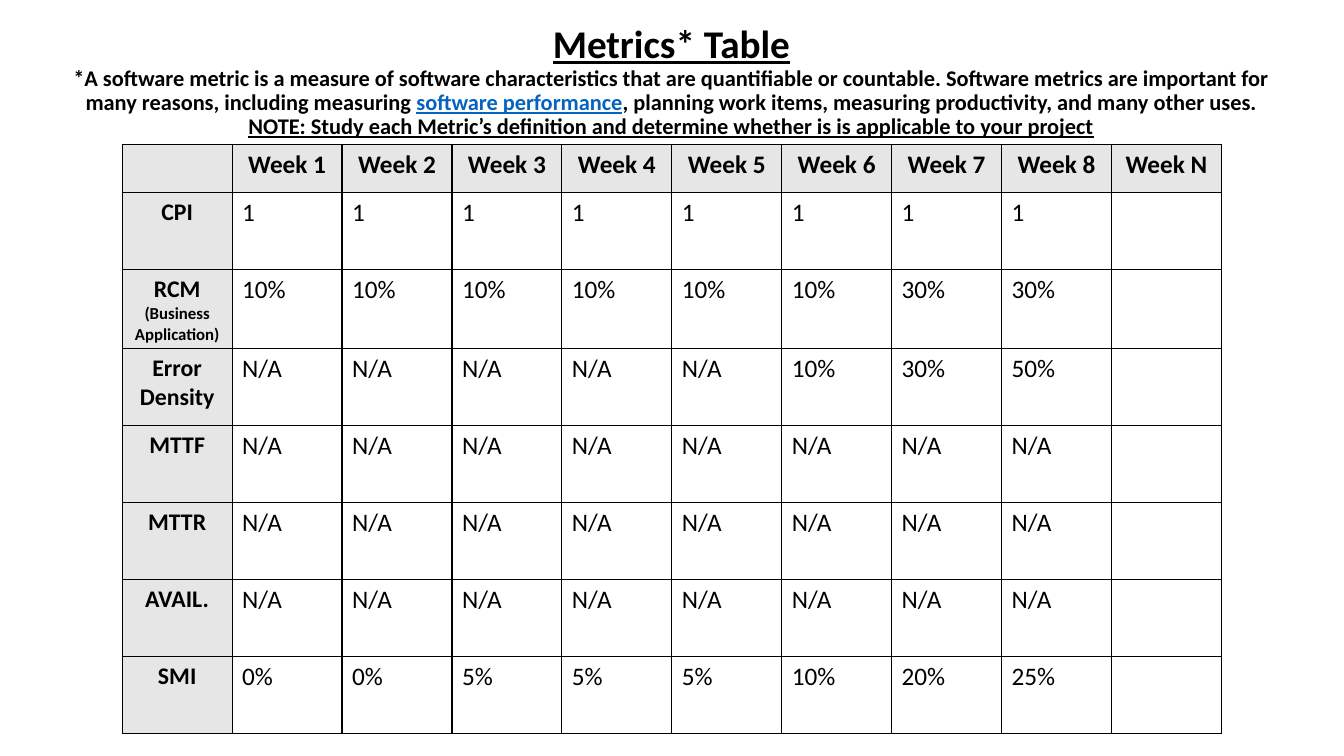
"""Build the software metrics table slide."""
from lxml.etree import SubElement
from pptx import Presentation
from pptx.dml.color import RGBColor
from pptx.enum.text import MSO_ANCHOR, PP_ALIGN
from pptx.oxml.ns import qn
from pptx.util import Cm, Pt


def style(r, size, color="000000", bold=True, underline=False):
    r.font.name = "Calibri"
    r.font.size = Pt(size)
    r.font.bold = bold
    r.font.underline = underline
    r.font.color.rgb = RGBColor.from_string(color)


def add_borders(cell, color="000000"):
    tcPr = cell._tc.get_or_add_tcPr()
    for side in ("a:lnL", "a:lnR", "a:lnT", "a:lnB"):
        ln = SubElement(tcPr, qn(side), w=str(Pt(1)))
        SubElement(SubElement(ln, qn("a:solidFill")), qn("a:srgbClr"), val=color)


TITLE_LINES = [
    [("Metrics* Table", 28, "000000", True)],
    [("*A software metric is a measure of software characteristics that are "
      "quantifiable or countable. Software metrics are important for many "
      "reasons, including measuring ", 16, "000000", False),
     ("software performance", 16, "0563C1", True),
     (", planning work items, measuring productivity, and many other uses.",
      16, "000000", False)],
    [("NOTE: Study each Metric’s definition and determine whether is is "
      "applicable to your project", 16, "000000", True)],
]
WEEKS = [f"Week {n}" for n in [*range(1, 9), "N"]]
METRICS = [
    ("CPI", ["1"] * 8),
    ("RCM\n(Business Application)", ["10%"] * 6 + ["30%"] * 2),
    ("Error Density", ["N/A"] * 5 + ["10%", "30%", "50%"]),
    ("MTTF", ["N/A"] * 8),
    ("MTTR", ["N/A"] * 8),
    ("AVAIL.", ["N/A"] * 8),
    ("SMI", ["0%"] * 2 + ["5%"] * 3 + ["10%", "20%", "25%"]),
]
ROWS = [["", *WEEKS]] + [[name, *values, ""] for name, values in METRICS]

prs = Presentation()
prs.slide_width, prs.slide_height = Cm(33.87), Cm(19.05)
s = prs.slides.add_slide(prs.slide_layouts[6])

tf = s.shapes.add_textbox(Cm(1.12), Cm(0.23), Cm(31.6), Cm(3.68)).text_frame
tf.word_wrap = True
tf.vertical_anchor = MSO_ANCHOR.MIDDLE
p = tf.paragraphs[0]
p.alignment = PP_ALIGN.CENTER
p.line_spacing = 0.9
for i, line in enumerate(TITLE_LINES):
    if i:
        p.add_line_break()
    for text, size, color, underline in line:
        r = p.add_run()
        r.text = text
        style(r, size, color, underline=underline)

table = s.shapes.add_table(len(ROWS), len(ROWS[0]), Cm(3.08), Cm(3.64),
                           Cm(27.7), Cm(14.74)).table
for col in table.columns:
    col.width = Cm(2.77)
for i, row in enumerate(table.rows):
    row.height = Cm(1.94 if i else 1.22)

for i, row in enumerate(ROWS):
    for j, text in enumerate(row):
        cell = table.cell(i, j)
        heading = i == 0 or j == 0
        add_borders(cell)
        if heading:
            cell.fill.solid()
            cell.fill.fore_color.rgb = RGBColor.from_string("E7E6E6")
        else:
            cell.fill.background()
        cell.text_frame.text = text
        for k, p in enumerate(cell.text_frame.paragraphs):
            p.alignment = PP_ALIGN.CENTER if heading else PP_ALIGN.LEFT
            size = 12 if k else 17 if j == 0 else 18
            for r in p.runs:
                style(r, size, bold=heading)

prs.save("out.pptx")
